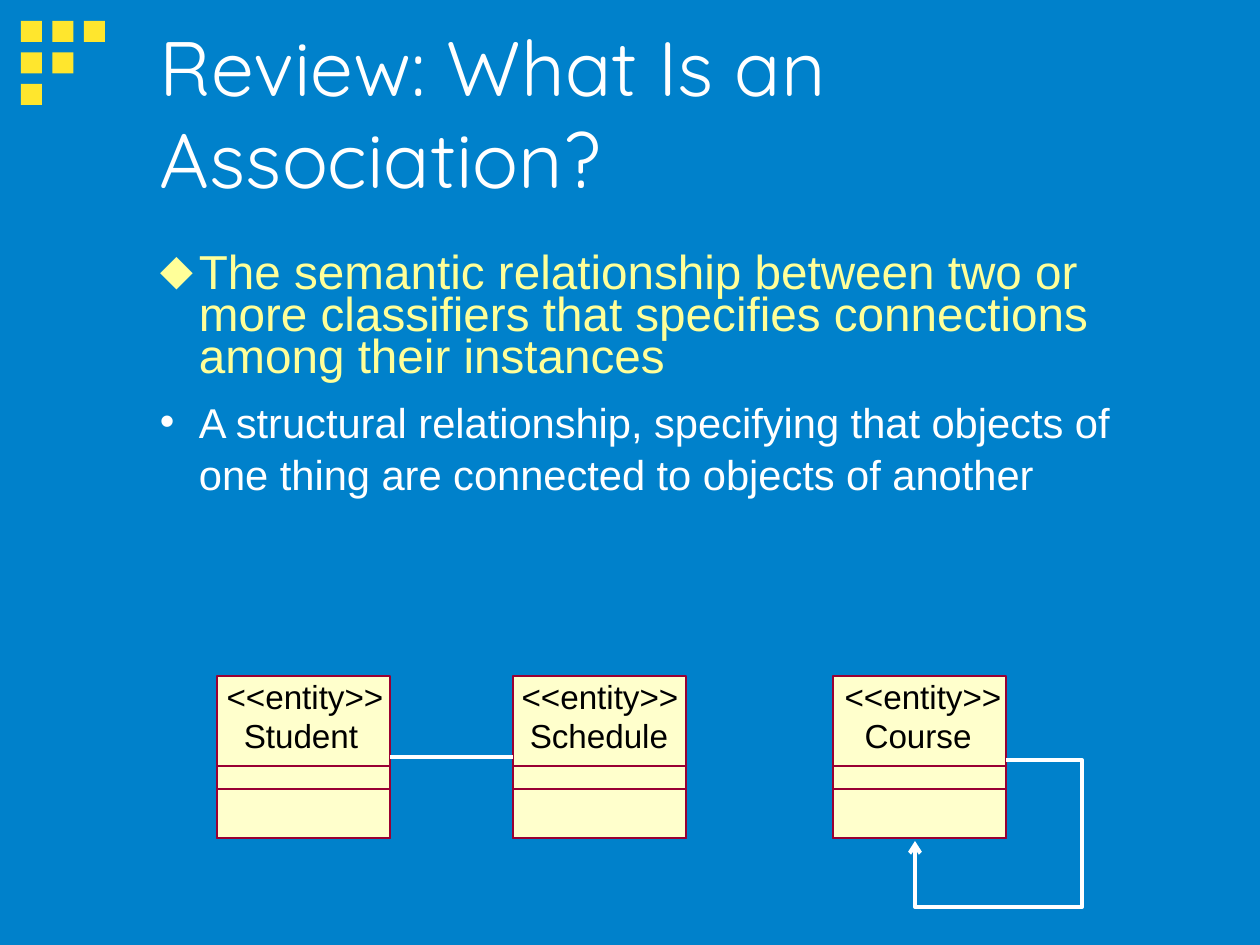
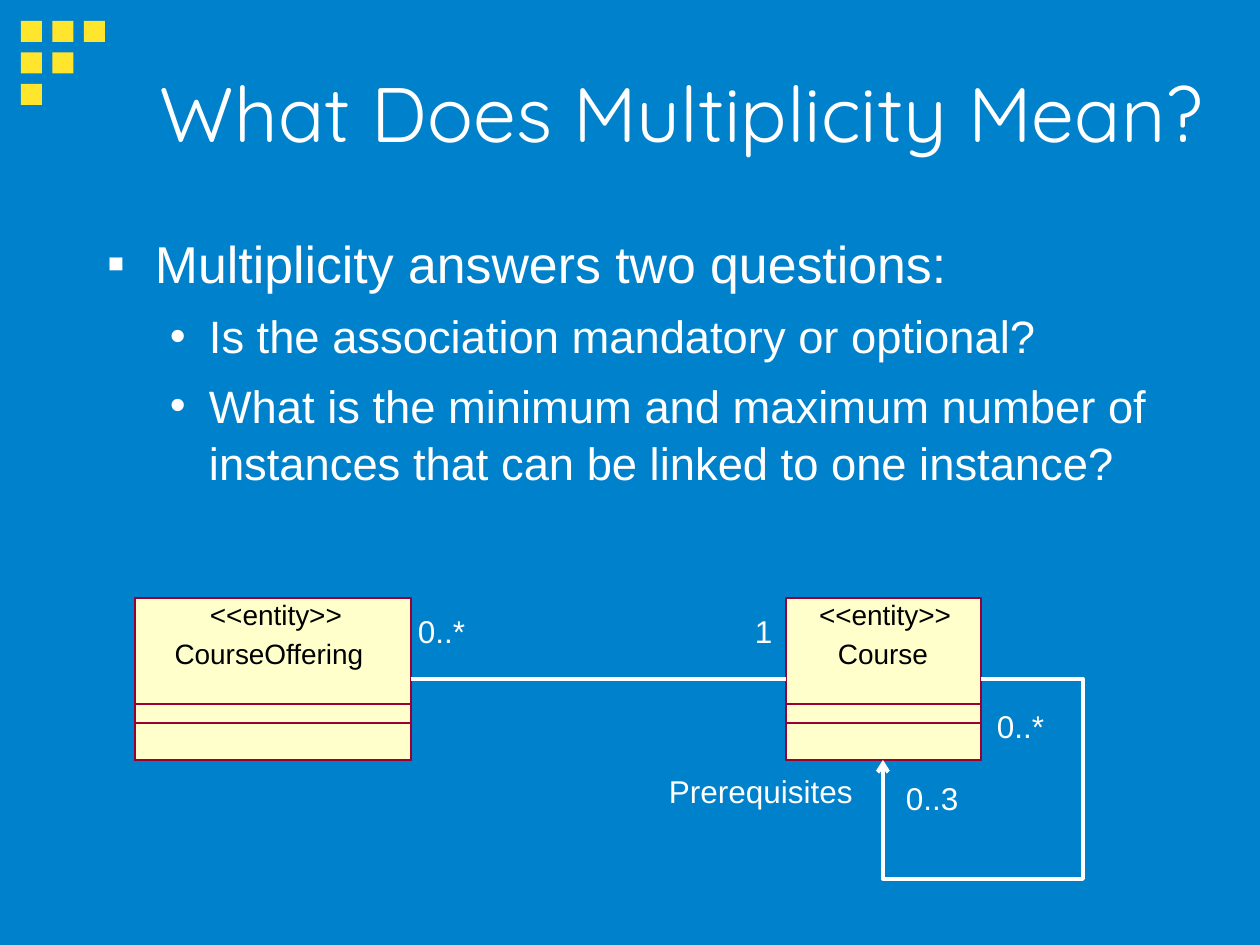
"""Build two slides on UML associations and multiplicity."""
from dataclasses import dataclass

from lxml import etree
from pptx import Presentation
from pptx.dml.color import RGBColor
from pptx.enum.shapes import MSO_CONNECTOR, MSO_SHAPE
from pptx.enum.text import MSO_ANCHOR, MSO_AUTO_SIZE, PP_ALIGN
from pptx.oxml.ns import qn
from pptx.util import Emu, Pt

RECTANGLE = MSO_SHAPE.RECTANGLE
STRAIGHT = MSO_CONNECTOR.STRAIGHT
LEFT, CENTER = PP_ALIGN.LEFT, PP_ALIGN.CENTER
TOP, MIDDLE = MSO_ANCHOR.TOP, MSO_ANCHOR.MIDDLE
NO_AUTOFIT = MSO_AUTO_SIZE.NONE
LEFT_SIDE, RIGHT_SIDE = 1, 3

COLORS = {
    "background": "0081CB",
    "square": "FFE62D",
    "text": "FFFFFF",
    "highlight": "FFFF99",
    "entity": "FFFFCC",
    "border": "990033",
    "entity_text": "000000",
    "shadow": "808080",
}
TITLE_FONT, BODY_FONT = "Quicksand", "Arial"
EMU_PER_PX = 914400 / 126
ENTITY_HEIGHT = 162
NAME_OFFSET = 39
CORNER_SQUARES_PER_ROW = (3, 2, 1)


@dataclass(frozen=True)
class Bullet:
    text: str
    size: float
    symbol: str
    margin: int
    hanging: int
    color: str = "text"
    line_spacing: float = 1.05
    space_before: int = 7


@dataclass(frozen=True)
class Entity:
    name: str
    left: int
    width: int
    stereotype_center: int
    name_center: int


@dataclass(frozen=True)
class EntityStyle:
    top: int
    font_size: int
    compartment_heights: tuple[int, int]


@dataclass(frozen=True)
class Label:
    text: str
    left: int
    top: int


def px(value: float) -> Emu:
    """Turn pixels into EMU."""
    return Emu(round(value * EMU_PER_PX))


def rgb(key: str) -> RGBColor:
    """Look up a named colour."""
    return RGBColor.from_string(COLORS[key])


def format_runs(paragraph, font: str, size: float, color: str, shadow: bool = False) -> None:
    """Set the font of every run, with a text shadow if wanted."""
    for run in paragraph.runs:
        run.font.size = Pt(size)
        run.font.color.rgb = rgb(color)
        run.font.name = font
        if shadow:
            effects = etree.Element(qn("a:effectLst"))
            outer = etree.SubElement(effects, qn("a:outerShdw"), dist="17961", dir="2700000")
            etree.SubElement(outer, qn("a:srgbClr"), val=COLORS["shadow"])
            run.font.fill._xPr.find(qn("a:solidFill")).addnext(effects)


def set_frame(frame, inset: int, wrap: bool, anchor=TOP) -> None:
    """Set the insets, wrapping and anchor of a text frame."""
    frame.margin_left = frame.margin_right = px(inset)
    frame.margin_top = frame.margin_bottom = px(inset / 2)
    frame.word_wrap = wrap
    frame.auto_size = NO_AUTOFIT
    frame.vertical_anchor = anchor


def add_corner_squares(slide) -> None:
    """Draw the triangle of squares in the top left corner."""
    for row, count in enumerate(CORNER_SQUARES_PER_ROW):
        for column in range(count):
            square = slide.shapes.add_shape(
                RECTANGLE, px(21 + 31.5 * column), px(21 + 31.5 * row), px(21), px(21))
            square.shadow.inherit = False
            square.fill.solid()
            square.fill.fore_color.rgb = rgb("square")
            square.line.fill.background()


def add_titled_slide(deck, title_text: str):
    """Add a slide with corner squares and a formatted title."""
    slide = deck.slides.add_slide(deck.slide_layouts[5])
    add_corner_squares(slide)
    title = slide.shapes.title
    title.left, title.top, title.width, title.height = px(147), px(33), px(1071), px(158)
    title.text_frame.text = title_text
    set_frame(title.text_frame, 13, True, MIDDLE)
    heading = title.text_frame.paragraphs[0]
    heading.alignment = LEFT
    format_runs(heading, TITLE_FONT, 44, "text", shadow=True)
    return slide


def add_bullets(slide, left: int, top: int, height: int, inset: int, bullets: list[Bullet]) -> None:
    """Add a body text with one paragraph per bullet."""
    body = slide.shapes.add_textbox(px(left), px(top), px(1071), px(height))
    frame = body.text_frame
    set_frame(frame, inset, True)
    frame.text = "\n".join(bullet.text for bullet in bullets)
    for index, (paragraph, bullet) in enumerate(zip(frame.paragraphs, bullets)):
        properties = paragraph._p.get_or_add_pPr()
        properties.set("marL", str(px(bullet.margin)))
        properties.set("indent", str(-px(bullet.hanging)))
        bullet_color = etree.SubElement(properties, qn("a:buClr"))
        etree.SubElement(bullet_color, qn("a:srgbClr"), val=COLORS[bullet.color])
        etree.SubElement(properties, qn("a:buFont"), typeface=BODY_FONT)
        etree.SubElement(properties, qn("a:buChar"), char=bullet.symbol)
        paragraph.line_spacing = bullet.line_spacing
        paragraph.space_before = Pt(bullet.space_before if index else 0)
        format_runs(paragraph, BODY_FONT, bullet.size, bullet.color, shadow=True)


def add_text(slide, text: str, left: float, top: int, width: int, size: int,
             color: str, alignment=LEFT) -> None:
    """Add a single line of text without insets."""
    box = slide.shapes.add_textbox(px(left), px(top), px(width), px(size * 2.1))
    box.text_frame.text = text
    set_frame(box.text_frame, 0, False)
    line = box.text_frame.paragraphs[0]
    line.alignment = alignment
    format_runs(line, BODY_FONT, size, color)


def add_entity(slide, entity: Entity, style: EntityStyle):
    """Draw a class box with two lower compartments and return its outer box."""
    bottom = style.top + ENTITY_HEIGHT
    boxes = []
    for height in (ENTITY_HEIGHT, *style.compartment_heights):
        box = slide.shapes.add_shape(
            RECTANGLE, px(entity.left), px(bottom - height), px(entity.width), px(height))
        box.shadow.inherit = False
        box.fill.background()
        box.line.color.rgb = rgb("border")
        box.line.width = Pt(0)
        boxes.append(box)
    boxes[0].fill.solid()
    boxes[0].fill.fore_color.rgb = rgb("entity")
    for text, center, offset in (("<<entity>>", entity.stereotype_center, 0),
                                 (entity.name, entity.name_center, NAME_OFFSET)):
        add_text(slide, text, center - entity.width / 2, style.top + offset, entity.width,
                 style.font_size, "entity_text", CENTER)
    return boxes[0]


def add_association(slide, source, target) -> None:
    """Join the right side of one class box to the left side of another."""
    association = slide.shapes.add_connector(STRAIGHT, 0, 0, 0, 0)
    association.begin_connect(source, RIGHT_SIDE)
    association.end_connect(target, LEFT_SIDE)
    association.line.color.rgb = rgb("text")
    association.line.width = Pt(2.25)
    etree.SubElement(association._element.spPr, qn("a:effectLst"))


def add_self_association(slide, points: list[tuple[int, int]]) -> None:
    """Draw an open path that ends in an arrowhead."""
    start, *corners = [(px(x), px(y)) for x, y in points]
    builder = slide.shapes.build_freeform(*start)
    builder.add_line_segments(corners, close=False)
    loop = builder.convert_to_shape()
    loop.fill.background()
    loop.line.color.rgb = rgb("text")
    loop.line.width = Pt(2.25)
    etree.SubElement(loop.line._get_or_add_ln(), qn("a:tailEnd"), type="arrow")
    loop.shadow.inherit = False


def build_association_slide(deck) -> None:
    """Build the slide that reviews associations."""
    slide = add_titled_slide(deck, "Review: What Is an Association?")
    add_bullets(slide, 82, 249, 285, 15, [
        Bullet("The semantic relationship between two or more classifiers that specifies "
               "connections among their instances", 27.2, "⬥", 102, 39, "highlight", 0.73),
        Bullet("A structural relationship, specifying that objects of one thing are "
               "connected to objects of another", 23.8, "•", 102, 39),
    ])
    style = EntityStyle(676, 19, (72, 49))
    student, schedule, _ = [add_entity(slide, entity, style) for entity in (
        Entity("Student", 217, 173, 305, 301),
        Entity("Schedule", 513, 173, 600, 599),
        Entity("Course", 833, 173, 923, 918),
    )]
    add_association(slide, student, schedule)
    add_self_association(
        slide, [(1006, 760), (1082, 760), (1082, 907), (915, 907), (915, 841)])


def build_multiplicity_slide(deck) -> None:
    """Build the slide that explains multiplicity."""
    slide = add_titled_slide(deck, "What Does Multiplicity Mean?")
    add_bullets(slide, 94, 222, 272, 13, [
        Bullet("Multiplicity answers two questions:", 29.6, "▪", 48, 48),
        Bullet("Is the association mandatory or optional?", 25.9, "•", 102, 39),
        Bullet("What is the minimum and maximum number of instances that can be linked "
               "to one instance?", 25.9, "•", 102, 39),
    ])
    style = EntityStyle(598, 16, (56, 37))
    offering, course = [add_entity(slide, entity, style) for entity in (
        Entity("CourseOffering", 135, 276, 276, 269),
        Entity("Course", 786, 195, 885, 883),
    )]
    add_association(slide, offering, course)
    add_self_association(
        slide, [(981, 679), (1083, 679), (1083, 879), (883, 879), (883, 760)])
    for label in (
        Label("0..*", 418, 612),
        Label("1", 755, 612),
        Label("0..*", 997, 707),
        Label("0..3", 906, 779),
        Label("Prerequisites", 669, 772),
    ):
        add_text(slide, label.text, label.left, label.top, 15 * len(label.text), 18, "text")


def main() -> None:
    """Build and save the presentation."""
    deck = Presentation()
    deck.slide_width, deck.slide_height = px(1260), px(945)
    background = deck.slide_master.background.fill
    background.solid()
    background.fore_color.rgb = rgb("background")
    build_association_slide(deck)
    build_multiplicity_slide(deck)
    deck.save("out.pptx")


if __name__ == "__main__":
    main()
